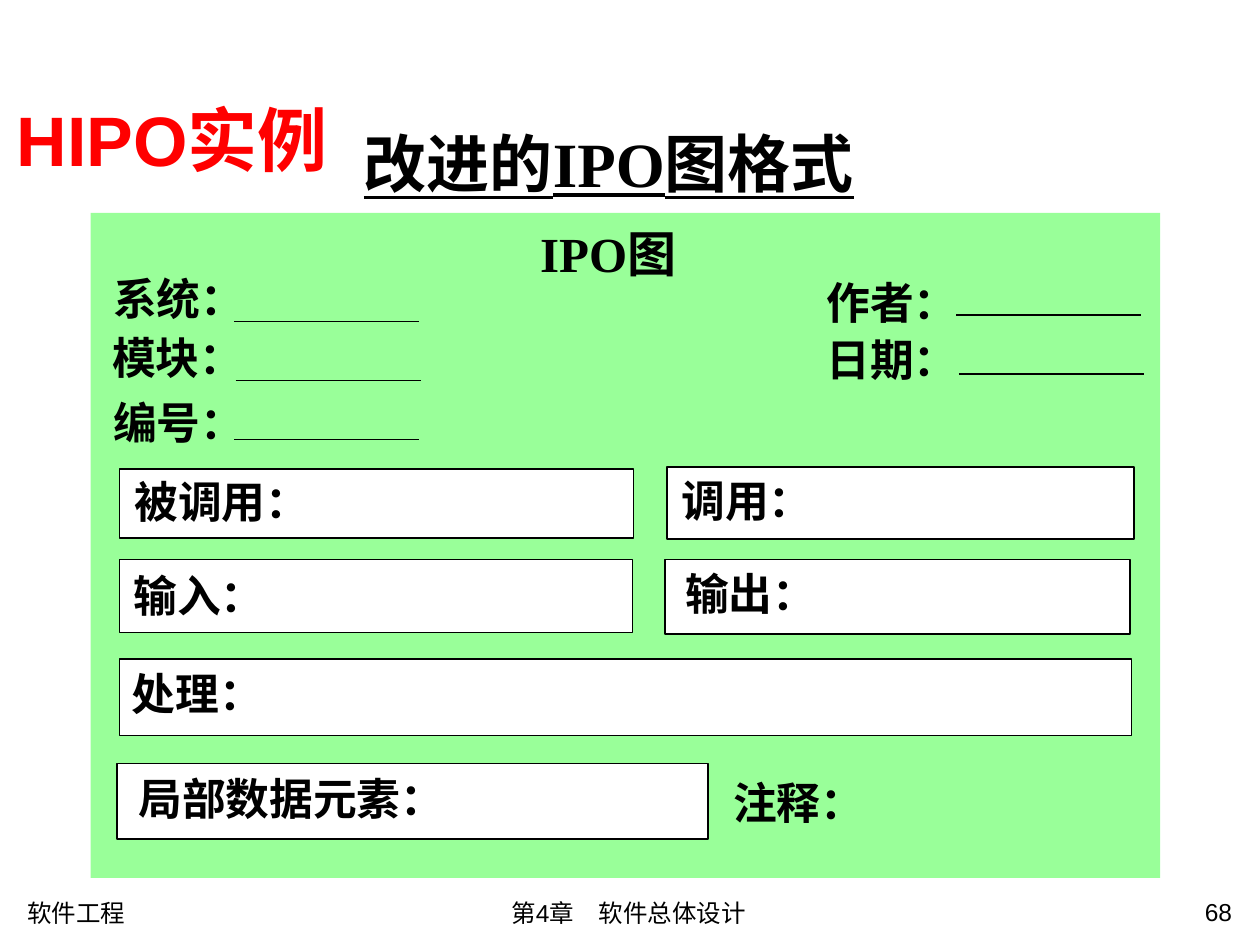
"""Build the slide showing the improved IPO chart form."""
import pptx
import pptx.dml.color
import pptx.enum.shapes
import pptx.enum.text
import pptx.oxml.ns
import pptx.util
from lxml import etree

Cm, Pt = pptx.util.Cm, pptx.util.Pt
ALIGN, ANCHOR = pptx.enum.text.PP_ALIGN, pptx.enum.text.MSO_ANCHOR
BLACK, WHITE, GREEN, RED = "000000", "FFFFFF", "99FF99", "FF0000"
LABEL_SIZE = 25
LINE_LENGTH = 3.73

LABELS = [
    ("系统：", 2.03, 5.36), ("模块：", 2.01, 6.55), ("编号：", 2.03, 7.85),
    ("作者：", 16.41, 5.44), ("日期：", 16.41, 6.58), ("注释：", 14.53, 15.52),
]
BLANKS = [(4.72, 6.48), (4.75, 7.67), (4.72, 8.86), (19.28, 6.35), (19.33, 7.54)]
FIELDS = [
    ("被调用：", (2.41, 9.45, 10.36, 1.4), (0.05, 0)),
    ("调用：", (13.44, 9.42, 9.42, 1.45), (0.05, 0)),
    ("输出：", (13.41, 11.28, 9.37, 1.5), (0.15, 0.02)),
    ("输入：", (2.41, 11.28, 10.34, 1.47), (0.03, 0.07)),
    ("处理：", (2.41, 13.28, 20.4, 1.55), (0, 0.03)),
    ("局部数据元素：", (2.36, 15.39, 11.91, 1.52), (0.18, 0.05)),
]


def rgb(color):
    """Turn a hex string into a colour."""
    return pptx.dml.color.RGBColor.from_string(color)


def write(sp, text, size=14, font="Arial", color=BLACK, bold=False, underline=False,
          align=ALIGN.LEFT, anchor=ANCHOR.TOP, wrap=True):
    """Put one formatted paragraph into a shape."""
    tf = sp.text_frame
    tf.word_wrap = wrap
    tf.auto_size = pptx.enum.text.MSO_AUTO_SIZE.NONE
    tf.vertical_anchor = anchor
    p = tf.paragraphs[0]
    p.alignment = align
    r = p.add_run()
    r.text = text
    r.font.size, r.font.name = Pt(size), font
    r.font.bold, r.font.underline = bold, underline
    r.font.color.rgb = rgb(color)


def add_text(s, text, box, **fmt):
    """Add a text box at left, top, width and height in centimetres."""
    write(s.shapes.add_textbox(*map(Cm, box)), text, **fmt)


def add_label(s, text, left, top):
    """Add a bold form label as wide as its characters."""
    width = round(0.88 * len(text) + 0.51, 2)
    add_text(s, text, (left, top, width, 1.3), size=LABEL_SIZE,
             font="Times New Roman", bold=True, wrap=False)


def add_rect(s, box, fill, line=None):
    """Add a flat rectangle with an optional outline."""
    sp = s.shapes.add_shape(pptx.enum.shapes.MSO_SHAPE.RECTANGLE, *map(Cm, box))
    sp.shadow.inherit = False
    sp.fill.solid()
    sp.fill.fore_color.rgb = rgb(fill)
    if line:
        sp.line.color.rgb = rgb(line)
        sp.line.width = Pt(1)
    else:
        sp.line.fill.background()


def add_blank(s, left, top):
    """Add a horizontal line to be filled in."""
    sp = s.shapes.add_connector(pptx.enum.shapes.MSO_CONNECTOR.STRAIGHT,
                                Cm(left), Cm(top), Cm(left + LINE_LENGTH), Cm(top))
    sp.line.color.rgb = rgb(BLACK)
    sp.line.width = Pt(1)
    etree.SubElement(sp.element.spPr, pptx.oxml.ns.qn("a:effectLst"))


def add_field(s, text, box, offset):
    """Add a white box with its label."""
    add_rect(s, box, WHITE, BLACK)
    add_label(s, text, box[0] + offset[0], box[1] + offset[1])


def add_title(s, text, box):
    """Move the title placeholder and fill it."""
    sp = s.shapes.title
    sp.left, sp.top, sp.width, sp.height = map(Cm, box)
    write(sp, text, size=40, color=RED, bold=True, anchor=ANCHOR.MIDDLE)


def main():
    """Assemble and save the slide."""
    prs = pptx.Presentation()
    prs.slide_width, prs.slide_height = Cm(25.4), Cm(19.05)
    s = prs.slides.add_slide(prs.slide_layouts[5])
    add_title(s, "HIPO实例", (0.08, 1.88, 21.41, 1.83))
    add_text(s, "第4章　软件总体设计", (5.97, 17.98, 13.41, 0.86), align=ALIGN.CENTER)
    add_text(s, "软件工程", (0.3, 17.98, 3.99, 0.81))
    add_text(s, "68", (21.69, 17.96, 3.4, 0.94), align=ALIGN.RIGHT)
    add_rect(s, (1.83, 4.29, 21.56, 13.41), GREEN)
    add_text(s, "改进的IPO图格式", (3.78, 2.34, 16.99, 1.88), size=36,
             font="Times New Roman", bold=True, underline=True,
             align=ALIGN.CENTER, anchor=ANCHOR.MIDDLE)
    add_text(s, "IPO图", (10.64, 4.39, 3.48, 1.42), size=28,
             font="Times New Roman", bold=True, wrap=False)
    for label in LABELS:
        add_label(s, *label)
    for blank in BLANKS:
        add_blank(s, *blank)
    for field in FIELDS:
        add_field(s, *field)
    prs.save("out.pptx")


if __name__ == "__main__":
    main()
